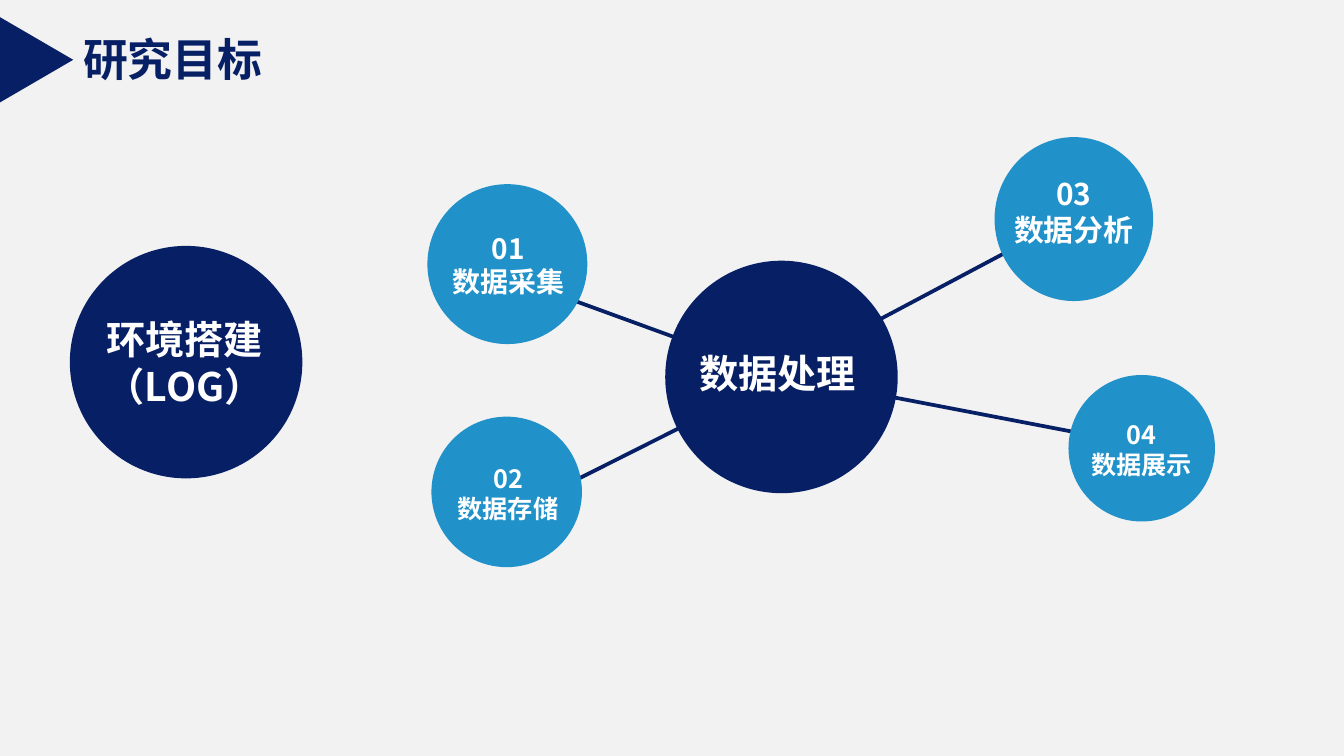
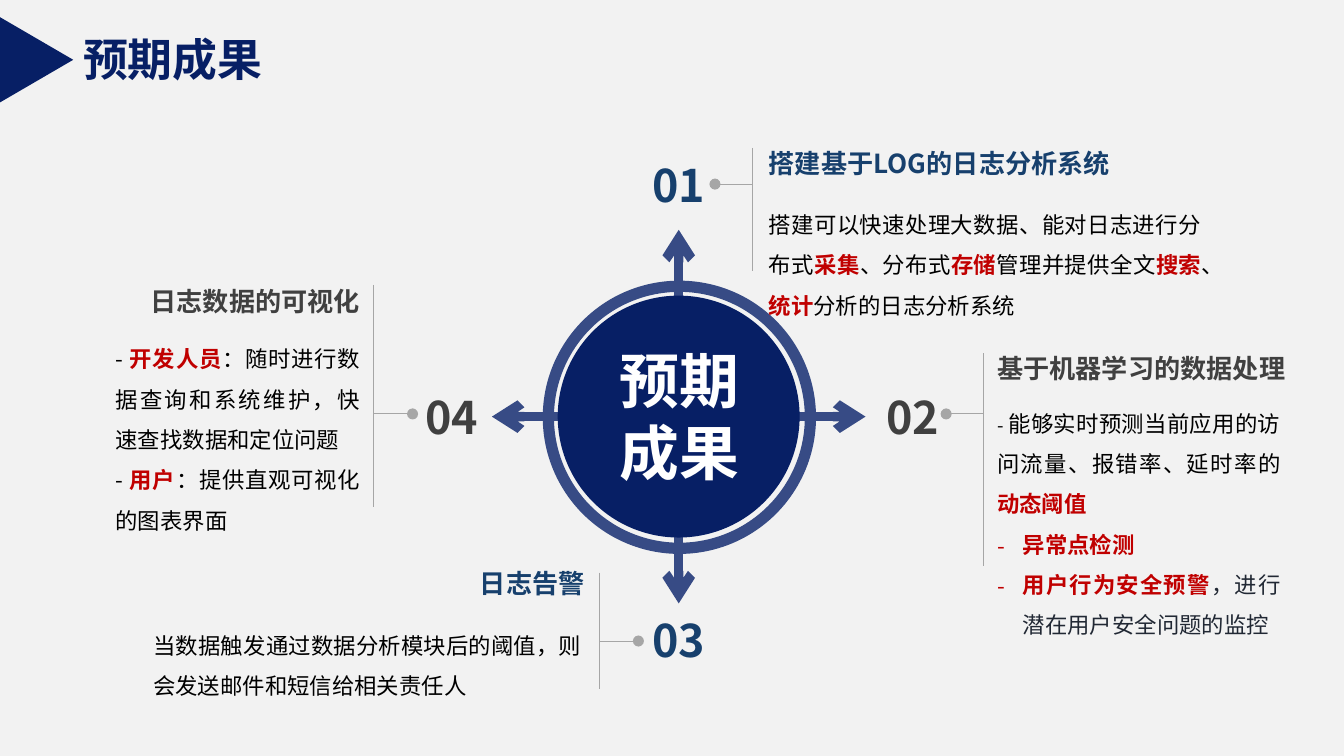
from dataclasses import dataclass

from lxml.etree import SubElement
from pptx import Presentation
from pptx.dml.color import RGBColor
from pptx.enum.shapes import MSO_CONNECTOR, MSO_SHAPE
from pptx.enum.text import MSO_AUTO_SIZE, PP_ALIGN
from pptx.oxml.ns import qn
from pptx.util import Inches, Pt


@dataclass(frozen=True)
class Theme:
    back: str = "F2F2F2"
    navy: str = "071F65"
    sky: str = "2191C9"
    ring: str = "374B85"
    blue: str = "17406D"
    dark: str = "404040"
    gray: str = "A6A6A6"
    red: str = "C00000"
    ink: str = "212834"
    black: str = "000000"
    white: str = "FFFFFF"
    font: str = "Noto Sans CJK SC"
    latin: str = "Arial"
    title: float = 24
    core: float = 32
    hub: float = 21
    digit: float = 24
    head: float = 14
    body: float = 12
    small: float = 10


T = Theme()


@dataclass(frozen=True)
class Run:
    text: str
    color: str = T.black
    bold: bool = False
    size: float = T.body
    font: str = T.font


@dataclass(frozen=True)
class Para:
    runs: tuple[Run, ...]
    align: PP_ALIGN = PP_ALIGN.JUSTIFY
    space: float | None = 1.5
    bullet: bool = False


@dataclass(frozen=True)
class Box:
    x: float
    y: float
    w: float
    h: float


@dataclass(frozen=True)
class Node:
    disk: Box
    label: Box
    lines: tuple[str, ...]
    size: float
    color: str = T.sky


@dataclass(frozen=True)
class Point:
    num: str
    color: str
    spot: tuple[float, float]
    rule: tuple[float, float, float]
    dot: tuple[float, float]
    title: str
    head: Box
    align: PP_ALIGN
    body: Box
    paras: tuple[Para, ...]


def place(box: Box) -> tuple:
    return Inches(box.x), Inches(box.y), Inches(box.w), Inches(box.h)


def shape(slide, kind, box: Box, fill: str | None, line: str | None = None, width: float = 0):
    form = slide.shapes.add_shape(kind, *place(box))
    form.shadow.inherit = False
    if fill:
        form.fill.solid()
        form.fill.fore_color.rgb = RGBColor.from_string(fill)
    else:
        form.fill.background()
    if line:
        form.line.color.rgb = RGBColor.from_string(line)
        form.line.width = Pt(width)
    else:
        form.line.fill.background()
    return form


def link(slide, start: tuple[float, float], end: tuple[float, float],
         color: str, width: float, tip: str | None = None) -> None:
    line = slide.shapes.add_connector(
        MSO_CONNECTOR.STRAIGHT, *(Inches(v) for v in (*start, *end)))
    line.line.color.rgb = RGBColor.from_string(color)
    line.line.width = Pt(width)
    props = line._element.spPr
    if tip:
        SubElement(props.find(qn("a:ln")), qn("a:headEnd"), type=tip)
    SubElement(props, qn("a:effectLst"))


def write(slide, box: Box, paras: tuple[Para, ...], inset: bool = False, wrap: bool = True) -> None:
    frame = slide.shapes.add_textbox(*place(box)).text_frame
    frame.word_wrap = wrap
    frame.auto_size = MSO_AUTO_SIZE.SHAPE_TO_FIT_TEXT
    frame.margin_left = frame.margin_right = Inches(0.1 if inset else 0)
    frame.margin_top = frame.margin_bottom = Inches(0.05 if inset else 0)
    for i, para in enumerate(paras):
        item = frame.add_paragraph() if i else frame.paragraphs[0]
        item.alignment = para.align
        if para.space:
            item.line_spacing = para.space
        if para.bullet:
            props = item._p.get_or_add_pPr()
            props.set("marL", str(Inches(0.19)))
            props.set("indent", str(-Inches(0.19)))
            SubElement(props, qn("a:buFont"), typeface=T.font)
            SubElement(props, qn("a:buChar"), char="-")
        for run in para.runs:
            part = item.add_run()
            part.text = run.text
            part.font.name = run.font
            part.font.size = Pt(run.size)
            part.font.bold = run.bold
            part.font.color.rgb = RGBColor.from_string(run.color)
            SubElement(part._r.get_or_add_rPr(), qn("a:ea"), typeface=T.font)


def bold(text: str, color: str, size: float, align=PP_ALIGN.CENTER, font: str = T.font) -> Para:
    return Para((Run(text, color, True, size, font),), align, None)


def red(text: str) -> Run:
    return Run(text, T.red, True)


def start(deck, title: str):
    slide = deck.slides.add_slide(deck.slide_layouts[6])
    slide.background.fill.solid()
    slide.background.fill.fore_color.rgb = RGBColor.from_string(T.back)
    write(slide, Box(0.52, 0.19, 1.55, 0.5),
          (bold(title, T.navy, T.title, PP_ALIGN.LEFT, T.latin),), True, False)
    shape(slide, MSO_SHAPE.ISOSCELES_TRIANGLE, Box(-0.05, 0.17, 0.64, 0.55), T.navy).rotation = 90
    return slide


def draw_node(slide, node: Node) -> None:
    shape(slide, MSO_SHAPE.OVAL, node.disk, node.color)
    write(slide, node.label, tuple(bold(t, T.white, node.size) for t in node.lines), True)


def draw_point(slide, point: Point) -> None:
    x, top, base = point.rule
    dot, y = point.dot
    link(slide, (x, top), (x, base), T.gray, 0.5)
    link(slide, (dot, y), (x, y), T.gray, 0.5, "oval")
    write(slide, Box(*point.spot, 0.52, 0.4), (bold(point.num, point.color, T.digit),))
    write(slide, point.head, (bold(point.title, point.color, T.head, point.align),))
    write(slide, point.body, point.paras)


LINKS = (
    ((4.28, 2.24), (5.79, 2.79)),
    ((4.19, 3.62), (5.8, 2.81)),
    ((7.82, 1.7), (5.73, 2.81)),
    ((8.49, 3.31), (5.78, 2.79)),
)
NODES = (
    Node(Box(4.95, 1.94, 1.73, 1.73), Box(4.92, 2.55, 1.73, 0.45), ("数据处理",), T.hub, T.navy),
    Node(Box(7.4, 1.02, 1.18, 1.22), Box(7.11, 1.26, 1.76, 0.64), ("03", "数据分析"), 16),
    Node(Box(3.18, 1.37, 1.19, 1.19), Box(2.89, 1.67, 1.78, 0.61), ("01", "数据采集"), 15),
    Node(Box(7.95, 2.79, 1.09, 1.09), Box(7.68, 3.07, 1.63, 0.56), ("04", "数据展示"), 13.5),
    Node(Box(3.21, 3.1, 1.12, 1.12), Box(2.94, 3.4, 1.68, 0.56), ("02", "数据存储"), 13.5),
    Node(Box(0.52, 1.83, 1.73, 1.73), Box(0.51, 2.3, 1.73, 0.81), ("环境搭建（LOG）",), T.hub, T.navy),
)
POINTS = (
    Point("01", T.blue, (4.79, 1.17), (5.6, 1.1, 2.02), (5.32, 1.37),
          "搭建基于LOG的日志分析系统", Box(5.72, 1.1, 2.65, 0.24), PP_ALIGN.LEFT,
          Box(5.72, 1.47, 3.22, 0.91), (
              Para((Run("搭建可以快速处理大数据、能对日志进行分布式"), red("采集"),
                    Run("、分布式"), red("存储"), Run("管理并提供全文"), red("搜索"),
                    Run("、"), red("统计"), Run("分析的日志分析系统"))),)),
    Point("02", T.dark, (6.53, 2.9), (7.32, 2.63, 4.21), (7.04, 3.08),
          "基于机器学习的数据处理", Box(7.42, 2.62, 2.35, 0.24), PP_ALIGN.LEFT,
          Box(7.42, 2.95, 2.11, 1.82), (
              Para((Run("- ", size=T.small),
                    Run("能够实时预测当前应用的访问流量、报错率、延时率的"), red("动态阈值"))),
              Para((red("异常点检测"),), bullet=True),
              Para((red("用户行为安全预警"),
                    Run("，进行潜在用户安全问题的监控", T.ink)), bullet=True))),
    Point("03", T.blue, (4.79, 4.56), (4.46, 4.26, 5.13), (4.75, 4.77),
          "日志告警", Box(2.83, 4.22, 1.52, 0.24), PP_ALIGN.RIGHT,
          Box(1.14, 4.6, 3.19, 0.61), (
              Para((Run("当数据触发通过数据分析模块后的阈值，则会发送邮件和短信给相关责任人"),)),)),
    Point("04", T.dark, (3.1, 2.9), (2.78, 2.12, 3.77), (3.07, 3.08),
          "日志数据的可视化", Box(1, 2.12, 1.68, 0.24), PP_ALIGN.RIGHT,
          Box(0.86, 2.47, 1.82, 1.51), (
              Para((Run("- "), red("开发人员"),
                    Run("：随时进行数据查询和系统维护，快速查找数据和定位问题"))),
              Para((Run("- "), red("用户"), Run("：提供直观可视化的图表界面"))))),
)


def goals(deck) -> None:
    slide = start(deck, "研究目标")
    for first, last in LINKS:
        link(slide, first, last, T.navy, 2)
    for node in NODES:
        draw_node(slide, node)


def results(deck) -> None:
    slide = start(deck, "预期成果")
    mid, row = 5.05, 3.1
    shape(slide, MSO_SHAPE.OVAL, Box(4.08, 2.13, 1.95, 1.95), None, T.ring, 6)
    for dx, dy in ((0, -1), (0, 1), (1, 0), (-1, 0)):
        tip, root = ((mid + dx * r, row + dy * r) for r in (1.39, 0.78))
        link(slide, tip, root, T.ring, 5, "arrow")
    for point in POINTS:
        draw_point(slide, point)
    draw_node(slide, Node(Box(4.15, 2.2, 1.8, 1.8), Box(4.4, 2.51, 1.31, 1.18),
                          ("预期成果",), T.core, T.navy))


def main() -> None:
    deck = Presentation()
    deck.slide_width = Inches(10)
    deck.slide_height = deck.slide_width * 9 // 16
    goals(deck)
    results(deck)
    deck.save("out.pptx")


main()
